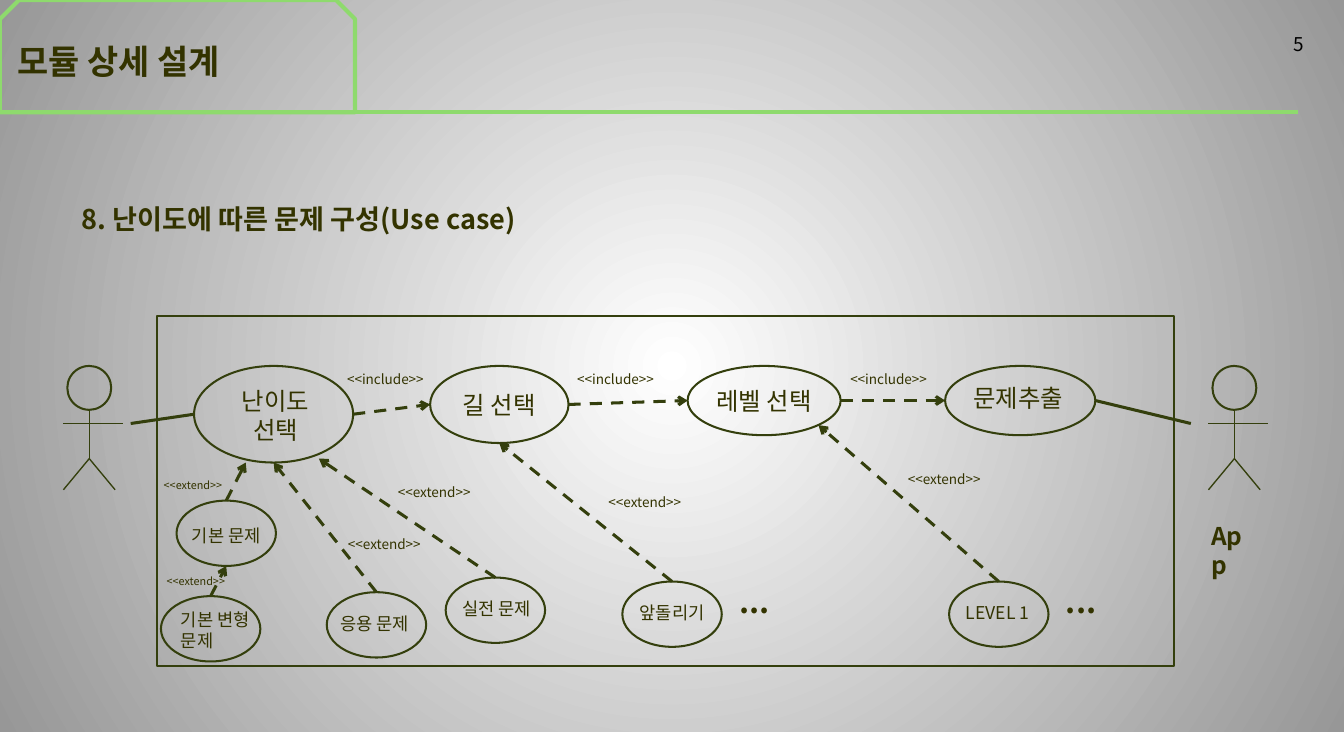
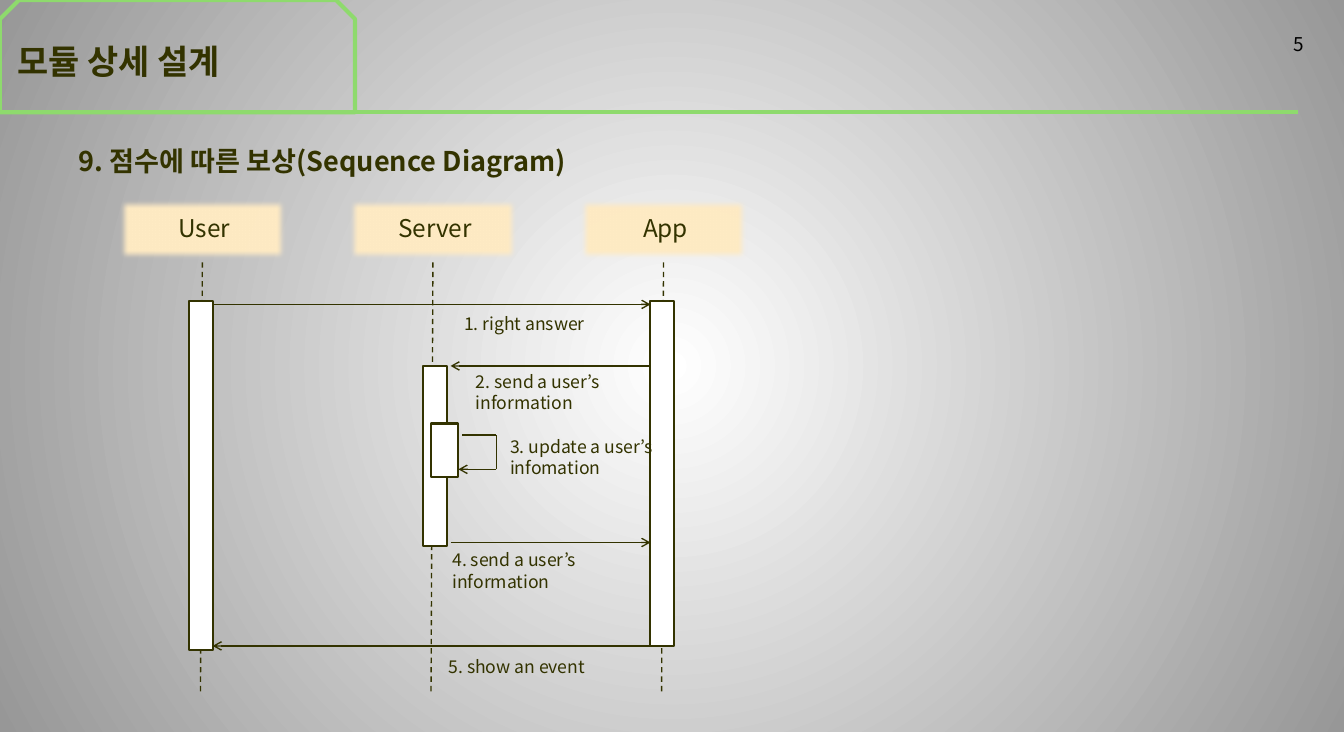
from dataclasses import dataclass

from lxml import etree
from pptx import Presentation
from pptx.dml.color import RGBColor
from pptx.enum.dml import MSO_LINE
from pptx.enum.shapes import MSO_CONNECTOR, MSO_SHAPE
from pptx.enum.text import MSO_ANCHOR, MSO_AUTO_SIZE, PP_ALIGN
from pptx.oxml.ns import qn
from pptx.util import Pt

RECT, OVAL = MSO_SHAPE.RECTANGLE, MSO_SHAPE.OVAL
SNIP = MSO_SHAPE.SNIP_2_SAME_RECTANGLE
LINE, DASH = MSO_CONNECTOR.STRAIGHT, MSO_LINE.DASH
LEFT, MID, RIGHT = PP_ALIGN.LEFT, PP_ALIGN.CENTER, PP_ALIGN.RIGHT
TOP, CENTRE = MSO_ANCHOR.TOP, MSO_ANCHOR.MIDDLE
FIXED = MSO_AUTO_SIZE.NONE

FONT = "Noto Sans CJK KR"
INK, OLIVE, GREEN = "333300", "343F0D", "8EDA6D"
CREAM, WHITE, GREY, BLACK = "FFEBC4", "FFFFFF", "979797", "000000"

Point = tuple[float, float]


@dataclass
class Node:
    """A use case drawn as an oval; dx and dy shift its text."""
    text: str
    x: float
    y: float
    w: float = 73.4
    h: float = 48.2
    size: float = 13
    align: PP_ALIGN = MID
    dx: float = 0
    dy: float = 0

    def at(self, across: float, down: float) -> Point:
        """Point at an offset from the centre, in half axes."""
        return (self.x + self.w / 2 * (1 + across),
                self.y + self.h / 2 * (1 + down))


@dataclass
class Label:
    text: str
    x: float
    y: float
    w: float = 100
    size: float = 10
    bold: bool = False


@dataclass
class Bar:
    x: float
    y: float
    w: float
    h: float


# Drawing helpers
def hue(code: str) -> RGBColor:
    return RGBColor.from_string(code)


def style(para, size: float, bold: bool = False, align=LEFT,
          color: str = INK) -> None:
    para.alignment = align
    font = para.font
    font.size, font.bold, font.name = Pt(size), bold, FONT
    font.color.rgb = hue(color)
    props = para._p.pPr.find(qn("a:defRPr"))
    props.set("kern", "0")
    etree.SubElement(props, qn("a:ea"), typeface=FONT)


def write(frame, text: str, size: float, bold: bool = False, align=LEFT,
          color: str = INK, anchor=TOP) -> None:
    frame.text = text
    frame.auto_size = FIXED
    frame.vertical_anchor = anchor
    for para in frame.paragraphs:
        style(para, size, bold, align, color)


def place(shape, x: float, y: float, w: float, h: float) -> None:
    shape.left, shape.top = Pt(x), Pt(y)
    shape.width, shape.height = Pt(w), Pt(h)


def box(shapes, kind, x: float, y: float, w: float, h: float,
        line: str = "", width: float = 1.5, fill: str = ""):
    shape = shapes.add_shape(kind, Pt(x), Pt(y), Pt(w), Pt(h))
    shape.shadow.inherit = False
    if fill:
        shape.fill.solid()
        shape.fill.fore_color.rgb = hue(fill)
    else:
        shape.fill.background()
    if line:
        shape.line.color.rgb = hue(line)
        shape.line.width = Pt(width)
    else:
        shape.line.fill.background()
    return shape


def link(shapes, start: Point, end: Point, color: str, width: float,
         dash: bool = False, arrow: bool = False):
    line = shapes.add_connector(LINE, *(Pt(v) for v in start + end))
    line.line.color.rgb = hue(color)
    line.line.width = Pt(width)
    if dash:
        line.line.dash_style = DASH
    props = line._element.spPr
    if arrow:
        etree.SubElement(props.find(qn("a:ln")), qn("a:tailEnd"), type="arrow")
    etree.SubElement(props, qn("a:effectLst"))
    return line


def note(shapes, item: Label, h: float = 20, align=LEFT,
         color: str = INK) -> None:
    area = shapes.add_textbox(Pt(item.x), Pt(item.y), Pt(item.w), Pt(h))
    area.text_frame.word_wrap = True
    write(area.text_frame, item.text, item.size, item.bold, align, color)


def caption(shape, text: str, size: float, align=MID, dx: float = 0,
            dy: float = 0) -> None:
    frame = shape.text_frame
    frame.margin_left, frame.margin_right = (Pt(max(v, 0) * 2)
                                             for v in (dx, -dx))
    frame.margin_top, frame.margin_bottom = (Pt(max(v, 0) * 2)
                                             for v in (dy, -dy))
    frame.word_wrap = False
    write(frame, text, size, align=align, anchor=CENTRE)


# Shared look
def backdrop(master) -> None:
    fill = master.background.fill
    fill.gradient()
    for stop, code, pos in zip(fill.gradient_stops, (WHITE, GREY), (0, 1)):
        stop.color.rgb = hue(code)
        stop.position = pos
    grad = master.element.find(".//" + qn("a:gradFill"))
    grad.remove(grad.find(qn("a:lin")))
    ring = etree.SubElement(grad, qn("a:path"), path="circle")
    etree.SubElement(ring, qn("a:fillToRect"),
                     {side: "50000" for side in "ltrb"})


def page(deck, head: str, x: float, y: float):
    slide = deck.slides.add_slide(deck.slide_layouts[1])
    shapes = slide.shapes
    note(shapes, Label("5", 738.7, 20.2, 231.1, 14), align=RIGHT, color=BLACK)
    tab = box(shapes, SNIP, 0, 0, 262.1, 82.8, GREEN, 3)
    tab.adjustments[0] = 0.17
    link(shapes, (0, 82.8), (958.3, 82.8), GREEN, 3)
    place(shapes.title, 6, 6.9, 248.3, 75.9)
    write(shapes.title.text_frame, "모듈 상세 설계", 25, True, anchor=CENTRE)
    # Section heading without a bullet
    body = slide.placeholders[1]
    place(body, x, y, 875, 31)
    body.text_frame.text = head
    para = body.text_frame.paragraphs[0]
    props = para._p.get_or_add_pPr()
    props.set("marL", "0")
    props.set("indent", "0")
    etree.SubElement(props, qn("a:buNone"))
    para.space_before = Pt(0)
    body.text_frame.auto_size = FIXED
    style(para, 20, True)
    return shapes


# Use case diagram
def actor(shapes, x: float) -> None:
    man = shapes.add_group_shape().shapes
    box(man, OVAL, x + 2.9, 270, 32.4, 32.4, OLIVE)
    mid = x + 19.1
    hip = (mid, 338.4)
    for start, end in (((mid, 303.1), hip), (hip, (x, 361.4)),
                       (hip, (x + 38.2, 361.4)),
                       ((x + 43.9, 312.5), (x, 312.5))):
        link(man, start, end, OLIVE, 1)


def cases(deck) -> None:
    shapes = page(deck, "8. 난이도에 따른 문제 구성(Use case)", 52.7, 145.4)
    box(shapes, RECT, 115.9, 233.3, 751, 257.8, OLIVE)
    for x in (46.8, 892.1):
        actor(shapes, x)

    steps = [Node("난이도\n선택", 143.3, 270, 117.4, 71.3, 18, dx=1.5, dy=1),
             Node("길 선택", 317.5, 270, 102.2, 56.9, 18),
             Node("레벨 선택", 507.6, 270, 113, 51.1, 18),
             Node("문제추출", 697.7, 270, 110.9, 51.1, 18, dx=-1.5, dy=-2)]
    basic = Node("기본 문제", 130.3, 369.4, dy=1.5)
    vary = Node("기본 변형\n문제", 118.8, 439.9, align=LEFT, dx=2, dy=1)
    apply = Node("응용 문제", 241.2, 437, dx=-1.5, dy=-1)
    real = Node("실전 문제", 329, 426.2, dx=1, dy=-1)
    turn = Node("앞돌리기", 459.4, 429.1, dy=-1.5)
    level = Node("LEVEL 1", 700.6, 429.1, dx=-1, dy=-1.5)
    for node in (*steps, basic, vary, apply, real, turn, level):
        oval = box(shapes, OVAL, node.x, node.y, node.w, node.h, OLIVE)
        caption(oval, node.text, node.size, node.align, node.dx, node.dy)

    # Actors to the ends of the chain, then the chain itself
    link(shapes, (96.5, 312.5), steps[0].at(-1, 0), OLIVE, 2.25)
    link(shapes, steps[-1].at(1, 0), (879.1, 312.5), OLIVE, 2.25)
    arrows = [(a.at(1, 0), b.at(-1, 0)) for a, b in zip(steps, steps[1:])]
    # Extensions rise from the top of each small oval
    goals = ((basic, (181.4, 341.3)), (vary, basic.at(0, 1)),
             (apply, steps[0].at(0, 1)), (real, (235.4, 338.4)),
             (turn, steps[1].at(0, 1)), (level, steps[2].at(0.71, 0.71)))
    arrows += [(node.at(0, -1), goal) for node, goal in goals]
    for start, end in arrows:
        link(shapes, start, end, OLIVE, 2.25, True, True)

    for x in (249.1, 419, 620.6):
        note(shapes, Label("<<include>>", x, 270))
    for x, y, size in ((113.8, 349.9, 8), (115.9, 420.5, 8),
                       (249.8, 391.7, 10), (286.6, 353.5, 10),
                       (442.1, 360.7, 10), (663.1, 344.2, 10)):
        note(shapes, Label("<<extend>>", x, y, 80, size))
    for x in (538.6, 779.8):
        note(shapes, Label("...", x, 426.2, 85, 23, True), 34.6)
    note(shapes, Label("App", 887, 380.9, 47.5, 18, True), 28.8)


# Sequence diagram
def sequence(deck) -> None:
    shapes = page(deck, "9. 점수에 따른 보상(Sequence Diagram)", 50.6, 103)
    for i, name in enumerate(("User", "Server", "App")):
        x = 85.7 + 170.2 * i
        head = box(shapes, RECT, x, 145.4, 127.4, 48.2, fill=CREAM)
        soft = head._element.spPr.find(qn("a:effectLst"))
        etree.SubElement(soft, qn("a:softEdge"), rad=str(Pt(5)))
        caption(head, name, 18, dx=1.5, dy=-1.5)
        mid = x + 63.7
        life = link(shapes, (mid, 193.6), (mid - 1.4, 511.2), INK, 1, True)
        life.begin_connect(head, 2)

    user = Bar(139.7, 221.8, 17.3, 257.8)
    app = Bar(480.2, 221.8, 17.3, 254.9)
    server = Bar(312.5, 270, 17.3, 133.2)
    update = Bar(318.2, 312.5, 20.2, 39.6)
    for bar in (user, app, server, update):
        box(shapes, RECT, bar.x, bar.y, bar.w, bar.h, INK, fill=WHITE)

    # Messages between the bars
    near, gap = user.x + user.w, 332.6
    for start, end, y in ((near, app.x, 224.6), (app.x, gap, 270),
                          (gap, app.x, 400.3), (app.x, near, 476.6)):
        link(shapes, (start, y), (end, y), INK, 1, arrow=True)
    # Server's call to itself
    loop = ((341.3, 321.1), (366.5, 321.1), (366.5, 346.3),
            (update.x + update.w, 346.3))
    for i, (start, end) in enumerate(zip(loop, loop[1:])):
        link(shapes, start, end, INK, 1, arrow=i == 2)

    for item in (Label("1. right answer", 335.5, 227.5, 161.3, 13),
                 Label("2. send a user’s information", 344.2, 270, 155, 13),
                 Label("3. update a user’s infomation", 369.4, 318.2, 133.2, 13),
                 Label("4. send a user’s information", 326.9, 401.8, 155, 13),
                 Label("5. show an event", 324, 480.2, 169.9, 13)):
        note(shapes, item, 38)


def main() -> None:
    deck = Presentation()
    deck.slide_width, deck.slide_height = Pt(992.13), Pt(540.12)
    backdrop(deck.slide_master)
    cases(deck)
    sequence(deck)
    deck.save("out.pptx")


if __name__ == "__main__":
    main()
